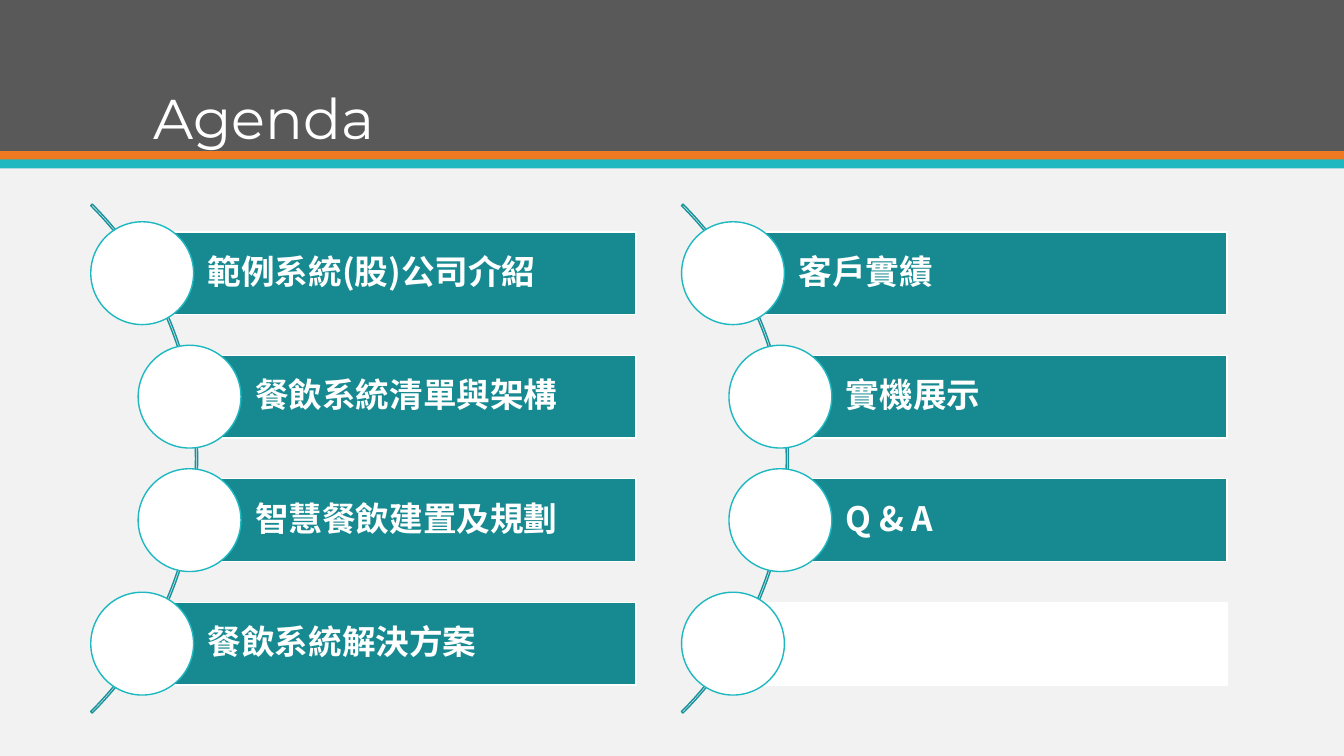
import pptx
import pptx.util
from lxml import etree
from pptx.dml.color import RGBColor
from pptx.enum.shapes import MSO_SHAPE
from pptx.enum.text import MSO_ANCHOR, PP_ALIGN
from pptx.oxml.ns import qn
from pptx.util import Inches, Pt

COLORS = {
    "background": "F2F2F2", "header": "595959", "orange": "EF7920",
    "turquoise": "1EB8C1", "bar": "178A91", "arc": "18939B", "white": "FFFFFF",
}
TITLE_FONT = "Montserrat"
TOPIC_FONT = "Noto Sans CJK SC"
COLUMNS = [
    ["範例系統(股)公司介紹", "餐飲系統清單與架構", "智慧餐飲建置及規劃", "餐飲系統解決方案"],
    ["客戶實績", "實機展示", "Q & A", ""],
]
COLUMN_LEFT, COLUMN_PITCH, COLUMN_WIDTH = 0.9, 5.86, 5.41
ROW_TOP, ROW_PITCH, BAR_HEIGHT = 2.3, 1.225, 0.82
INDENTS = [0, 0.47, 0.47, 0]
CIRCLE = 1.02
ARC = 7.14


def rgb(name):
    return RGBColor.from_string(COLORS[name])


def add_shape(s, kind, left, top, width, height, fill=None, line=None):
    sp = s.shapes.add_shape(
        kind, Inches(left), Inches(top), Inches(width), Inches(height))
    sp.shadow.inherit = False
    if fill:
        sp.fill.solid()
        sp.fill.fore_color.rgb = rgb(fill)
    else:
        sp.fill.background()
    if line:
        sp.line.color.rgb = rgb(line)
        sp.line.width = Pt(1)
    else:
        sp.line.fill.background()
    return sp


def write(tf, text, font, size, bold=False):
    p = tf.paragraphs[0]
    p.alignment = PP_ALIGN.LEFT
    p.line_spacing = 0.9
    r = p.add_run()
    r.text = text
    r.font.name = font
    r.font.size = Pt(size)
    r.font.bold = bold
    r.font.color.rgb = rgb("white")
    ea = etree.SubElement(r.font._element, qn("a:ea"))
    ea.set("typeface", font)


def add_header(s):
    add_shape(s, MSO_SHAPE.RECTANGLE, 0, 0, 13.33, 1.5, "header")
    add_shape(s, MSO_SHAPE.RECTANGLE, 0, 1.5, 13.33, 0.09, "orange")
    add_shape(s, MSO_SHAPE.RECTANGLE, 0, 1.58, 13.33, 0.09, "turquoise")


def add_title(s, text):
    """Fill the title placeholder and bring it in front of the header."""
    title = s.shapes.title
    title.left, title.top = Inches(1.42), Inches(0.42)
    title.width, title.height = Inches(10.5), Inches(1.13)
    title.text_frame.vertical_anchor = MSO_ANCHOR.BOTTOM
    write(title.text_frame, text, TITLE_FONT, 40)
    title.element.getparent().append(title.element)


def add_topic(s, text, left, right, top):
    """Add a bar with a circle over its left end; an empty topic is white."""
    bar_left = left + CIRCLE / 2
    bar = add_shape(s, MSO_SHAPE.RECTANGLE, bar_left, top, right - bar_left,
                    BAR_HEIGHT, "bar" if text else "white", "white")
    if text:
        tf = bar.text_frame
        tf.word_wrap = True
        tf.vertical_anchor = MSO_ANCHOR.MIDDLE
        tf.margin_left = Inches(0.65)
        tf.margin_right = tf.margin_top = tf.margin_bottom = Inches(0.07)
        write(tf, text, TOPIC_FONT, 24, bold=True)
    add_shape(s, MSO_SHAPE.OVAL, left, top - (CIRCLE - BAR_HEIGHT) / 2,
              CIRCLE, CIRCLE, "white", "turquoise")


def add_column(s, topics, left):
    arc = add_shape(s, MSO_SHAPE.BLOCK_ARC, left - 6.08, 0.98, ARC, ARC,
                    line="arc")
    for i, value in enumerate((189, 27, 0.003)):
        arc.adjustments[i] = value
    for row, (text, indent) in enumerate(zip(topics, INDENTS)):
        add_topic(s, text, left + indent, left + COLUMN_WIDTH,
                  ROW_TOP + row * ROW_PITCH)


def main():
    prs = pptx.Presentation()
    prs.slide_width, prs.slide_height = Inches(13.33), Inches(7.5)
    s = prs.slides.add_slide(prs.slide_layouts[5])
    s.background.fill.solid()
    s.background.fill.fore_color.rgb = rgb("background")
    add_header(s)
    add_title(s, "Agenda")
    for i, topics in enumerate(COLUMNS):
        add_column(s, topics, COLUMN_LEFT + i * COLUMN_PITCH)
    prs.save("out.pptx")


if __name__ == "__main__":
    main()
